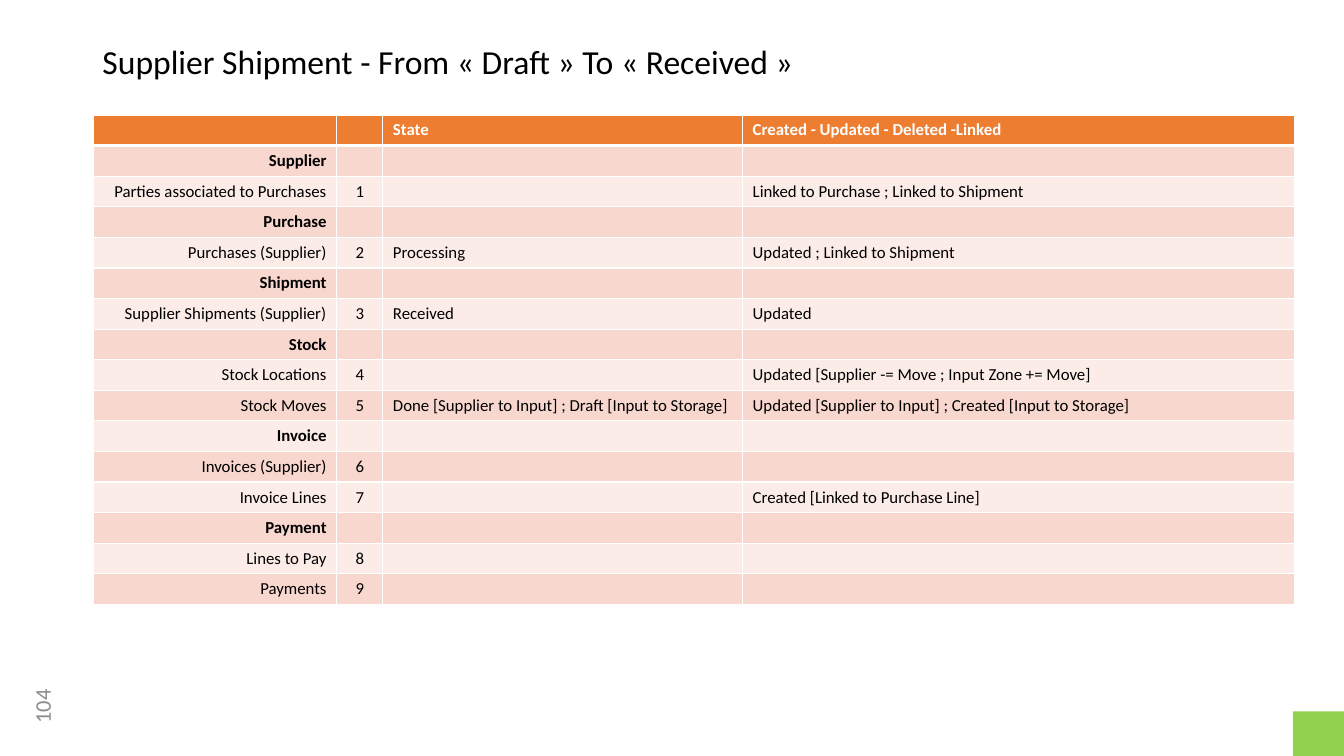
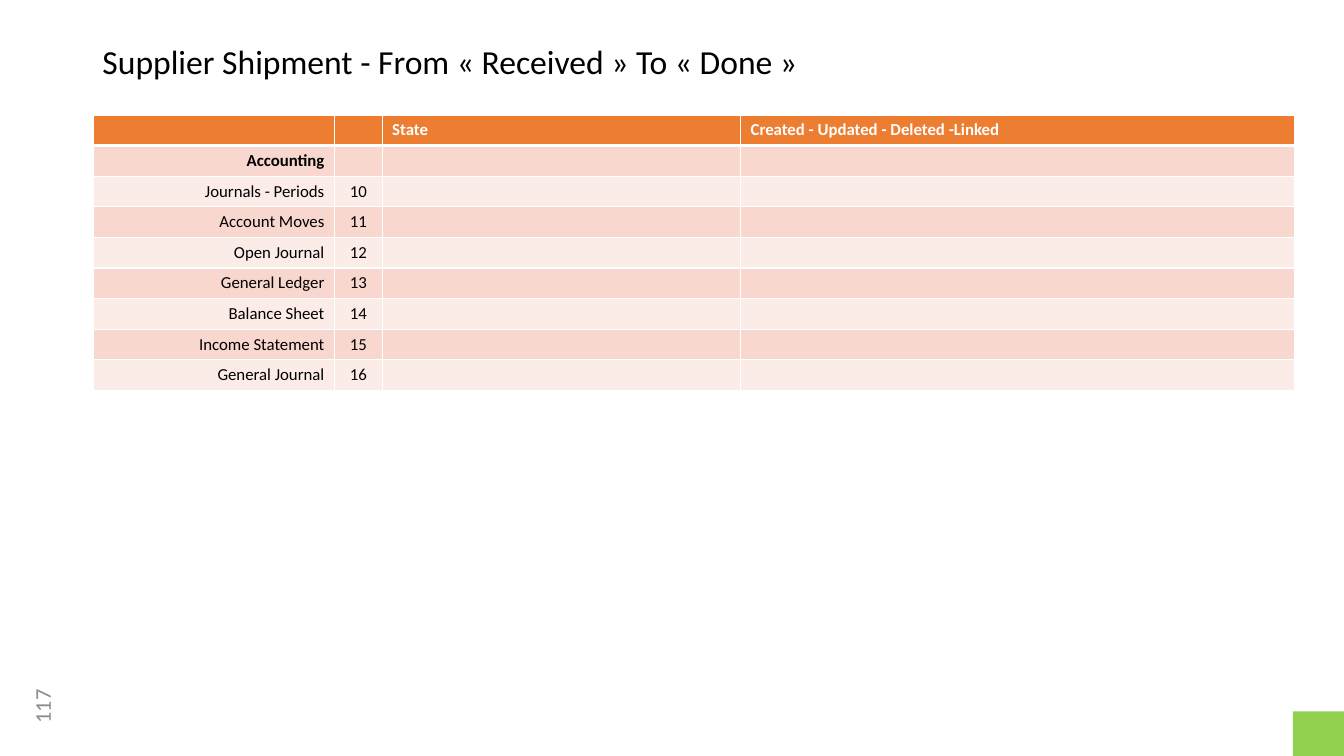
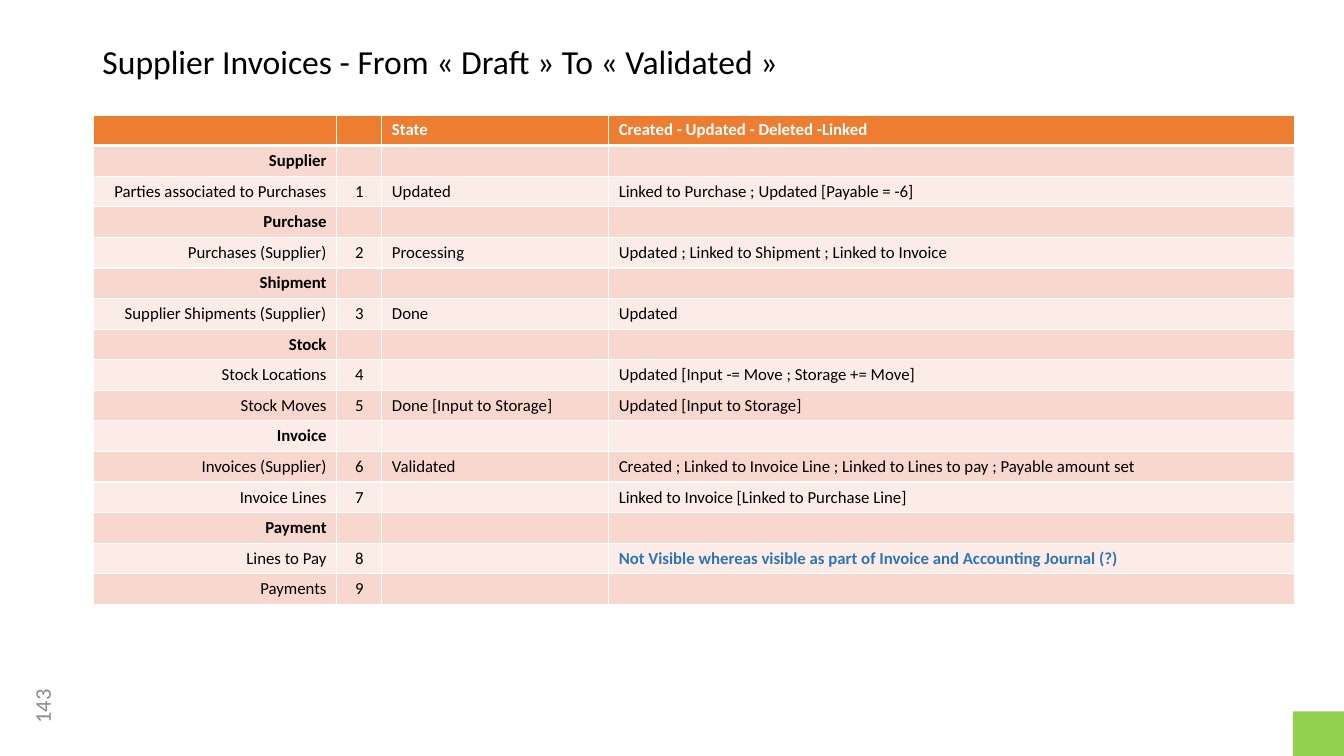
from dataclasses import dataclass

from lxml.etree import SubElement
from pptx import Presentation
from pptx.dml.color import RGBColor
from pptx.enum.shapes import MSO_SHAPE as Preset
from pptx.enum.text import MSO_ANCHOR as Anchor, MSO_AUTO_SIZE as AutoSize, PP_ALIGN as Align
from pptx.oxml.ns import qn
from pptx.util import Pt


@dataclass(frozen=True)
class Theme:
    font: str = "Calibri"
    title_size: int = 24
    number_size: int = 16
    table_size: int = 12
    ink: str = "000000"
    paper: str = "FFFFFF"
    number: str = "8C8C8C"
    corner: str = "92D050"
    header: str = "ED7D31"
    bands: tuple = ("F8D7CE", "FCECE8")
    question: str = "2E75B6"
    thin_rule: int = 1
    thick_rule: int = 3


THEME = Theme()
TITLE_ONLY = 5
ROW_HEIGHT = 21.6
HEADINGS = ("", "", "State", "Created - Updated - Deleted -Linked")
ALIGNMENTS = (Align.RIGHT, Align.CENTER, Align.LEFT, Align.LEFT)

PURCHASING = {
    "Supplier": ["Parties associated to Purchases"],
    "Purchase": ["Purchases (Supplier)"],
    "Shipment": ["Supplier Shipments (Supplier)"],
    "Stock": ["Stock Locations", "Stock Moves"],
    "Invoice": ["Invoices (Supplier)", "Invoice Lines"],
    "Payment": ["Lines to Pay", "Payments"],
}
ACCOUNTING = {
    "Accounting": [
        "Journals - Periods", "Account Moves", "Open Journal", "General Ledger",
        "Balance Sheet", "Income Statement", "General Journal",
    ],
}
RECEIVED_EFFECTS = {
    1: ("", "Linked to Purchase ; Linked to Shipment"),
    2: ("Processing", "Updated ; Linked to Shipment"),
    3: ("Received", "Updated"),
    4: ("", "Updated [Supplier -= Move ; Input Zone += Move]"),
    5: ("Done [Supplier to Input] ; Draft [Input to Storage]",
        "Updated [Supplier to Input] ; Created [Input to Storage]"),
    7: ("", "Created [Linked to Purchase Line]"),
}
VALIDATED_EFFECTS = {
    1: ("Updated", "Linked to Purchase ; Updated [Payable = -6]"),
    2: ("Processing", "Updated ; Linked to Shipment ; Linked to Invoice"),
    3: ("Done", "Updated"),
    4: ("", "Updated [Input -= Move ; Storage += Move]"),
    5: ("Done [Input to Storage]", "Updated [Input to Storage]"),
    6: ("Validated",
        "Created ; Linked to Invoice Line ; Linked to Lines to pay ; Payable amount set"),
    7: ("", "Linked to Invoice [Linked to Purchase Line]"),
    8: ("", "Not Visible whereas visible as part of Invoice and Accounting Journal (?)"),
}


def write(frame, text, size, color=THEME.ink, bold=False, align=Align.LEFT, spacing=None):
    paragraph = frame.paragraphs[0]
    paragraph.alignment = align
    if spacing:
        paragraph.line_spacing = spacing
    if not text:
        SubElement(paragraph._p, qn("a:endParaRPr"), sz=str(size * 100))
        return
    run = paragraph.add_run()
    run.text = text
    run.font.name = THEME.font
    run.font.size = Pt(size)
    run.font.bold = bold
    run.font.color.rgb = RGBColor.from_string(color)


def add_title(slide, text):
    title = slide.shapes.title
    title.left, title.top, title.width, title.height = Pt(66), Pt(28.8), Pt(828), Pt(36.8)
    frame = title.text_frame
    frame.auto_size = AutoSize.NONE
    frame.vertical_anchor = Anchor.TOP
    write(frame, text, THEME.title_size, spacing=0.9)


def add_page_number(slide, number):
    page = slide.shapes.add_textbox(Pt(2.9), Pt(490.3), Pt(54), Pt(28.8))
    page.rotation = 270
    page.text_frame.word_wrap = True
    page.text_frame.vertical_anchor = Anchor.MIDDLE
    write(page.text_frame, str(number), THEME.number_size, THEME.number, align=Align.CENTER)


def add_corner(slide):
    corner = slide.shapes.add_shape(Preset.RECTANGLE, Pt(923.5), Pt(508.2), Pt(36.5), Pt(31.8))
    corner.shadow.inherit = False
    corner.fill.solid()
    corner.fill.fore_color.rgb = RGBColor.from_string(THEME.corner)
    corner.line.fill.background()


def rule_cell(cell, top, bottom):
    sides = {"lnL": THEME.thin_rule, "lnR": THEME.thin_rule, "lnT": top, "lnB": bottom}
    for side, width in sides.items():
        rule = SubElement(cell._tc.get_or_add_tcPr(), qn(f"a:{side}"), w=str(Pt(width)))
        SubElement(SubElement(rule, qn("a:solidFill")), qn("a:srgbClr"), val=THEME.paper)


def fill_cell(cell, row, fill, text, **style):
    rule_cell(
        cell,
        top=THEME.thick_rule if row == 1 else THEME.thin_rule,
        bottom=THEME.thick_rule if row == 0 else THEME.thin_rule,
    )
    cell.fill.solid()
    cell.fill.fore_color.rgb = RGBColor.from_string(fill)
    write(cell.text_frame, text, THEME.table_size, **style)


def effect_rows(groups, effects, first):
    rows, number = [], first
    for group, records in groups.items():
        rows.append((group, "", "", ""))
        for record in records:
            rows.append((record, str(number), *effects.get(number, ("", ""))))
            number += 1
    return rows


def add_effects(slide, left, widths, groups, effects, first=1):
    rows = effect_rows(groups, effects, first)
    count = len(rows) + 1
    table = slide.shapes.add_table(
        count, len(widths), Pt(left), Pt(82.1), Pt(sum(widths)), Pt(ROW_HEIGHT * count)
    ).table
    for column, width in zip(table.columns, widths):
        column.width = Pt(width)
    for line in table.rows:
        line.height = Pt(ROW_HEIGHT)
    for column, heading in enumerate(HEADINGS):
        fill_cell(table.cell(0, column), 0, THEME.header, heading, color=THEME.paper, bold=True)
    for row, entries in enumerate(rows, 1):
        is_group = not entries[1]
        for column, text in enumerate(entries):
            is_question = text.endswith("(?)")
            fill_cell(
                table.cell(row, column), row, THEME.bands[(row - 1) % 2], text,
                color=THEME.question if is_question else THEME.ink,
                bold=is_group or is_question, align=ALIGNMENTS[column],
            )


def add_effects_slide(deck, title, number, **effects):
    slide = deck.slides.add_slide(deck.slide_layouts[TITLE_ONLY])
    add_title(slide, title)
    add_effects(slide, **effects)
    add_page_number(slide, number)
    add_corner(slide)


def main():
    deck = Presentation()
    deck.slide_width, deck.slide_height = Pt(960), Pt(540)
    add_effects_slide(
        deck, "Supplier Shipment - From « Draft » To « Received »", 104,
        left=66.5, widths=(174, 33, 257, 394), groups=PURCHASING, effects=RECEIVED_EFFECTS,
    )
    add_effects_slide(
        deck, "Supplier Shipment - From « Received » To « Done »", 117,
        left=67, widths=(172, 34, 256, 396), groups=ACCOUNTING, effects={}, first=10,
    )
    add_effects_slide(
        deck, "Supplier Invoices - From « Draft » To « Validated »", 143,
        left=66.5, widths=(174, 32.3, 162, 489.7), groups=PURCHASING, effects=VALIDATED_EFFECTS,
    )
    deck.save("out.pptx")


if __name__ == "__main__":
    main()
